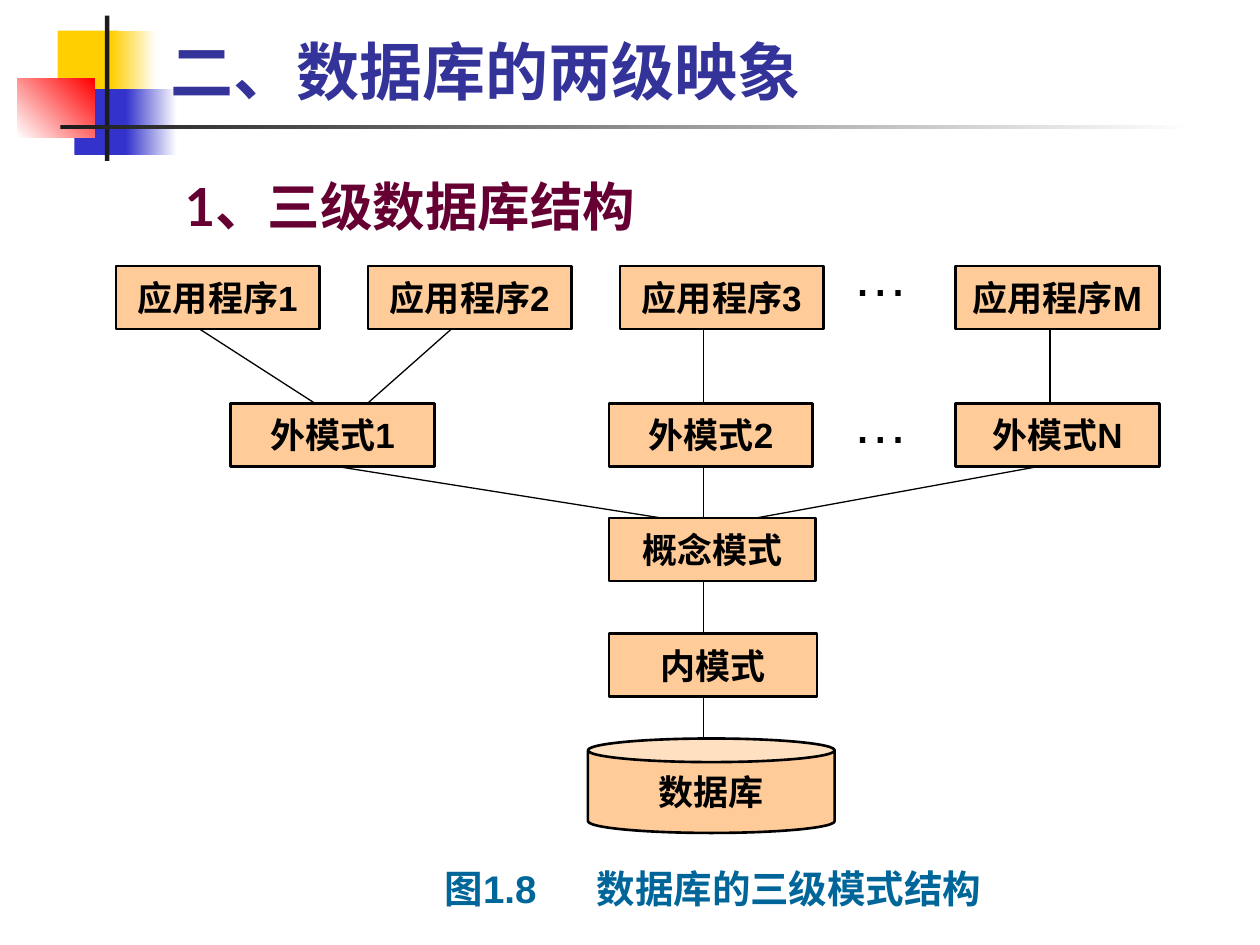
"""Build the slide on the three-level database structure."""
from lxml import etree
from pptx import Presentation
from pptx import util as u
from pptx.dml.color import RGBColor
from pptx.enum import shapes as kinds, text
from pptx.oxml.ns import qn

THEME = {
    "heading_font": "Lato", "diagram_font": "Arial",
    "title": ("333399", 36), "subtitle": ("660033", 30),
    "label": ("000000", 20), "dots": ("000000", 32), "caption": ("006699", 22),
    "box": "FFCC99", "line": "000000", "white": "FFFFFF",
    "yellow": "FFCF01", "blue": "3333CC", "red": "FF0000", "dark": "1C1C1C",
}
TITLE = "二、数据库的两级映象"
SUBTITLE = "1、三级数据库结构"
CAPTION = "图1.8\t数据库的三级模式结构"

ORNAMENTS = [
    ((33, 17.5, 34.5, 37.5), ("yellow",), 0),
    ((63.5, 17.5, 26, 37.5), ("yellow", "white"), 0),
    ((42.5, 51, 33, 37.5), ("blue",), 0),
    ((72, 51, 29, 37.5), ("blue", "white"), 0),
    ((10, 45, 44, 33.5), ("white", "red"), 45),
    ((60, 9, 2.5, 83), ("dark",), 0),
    ((34.5, 71.5, 648, 2.2), ("dark", "white"), 0),
]
LEVELS = [
    (152, 36, 116.5, [("应用程序1", 66.25), ("应用程序2", 210.25),
                      ("应用程序3", 354.25), ("应用程序M", 546)]),
    (230.5, 36, 116.5, [("外模式1", 131.75), ("外模式2", 348), ("外模式N", 546)]),
    (296, 36, 118, [("概念模式", 348)]),
    (362, 36, 119, [("内模式", 348)]),
    (422, 54, 141, [("数据库", 336)]),
]
LINKS = [
    [(114, 180), (258, 210), (402, 402), (600, 600)],
    [(192, 378), (402, 402), (594, 432)],
    [(402, 402)],
    [(402, 402)],
]
ELLIPSES = [(480, 134, 48, 46), (480, 218, 60, 46)]


def points(*values):
    return [u.Pt(value) for value in values]


def color(name):
    return RGBColor.from_string(THEME.get(name, name))


def write(shape, content, style, font, bold=True):
    shape.text_frame.text = content
    paragraph = shape.text_frame.paragraphs[0]
    for run in paragraph.runs:
        run.font.name, run.font.bold = THEME[font], bold
        run.font.color.rgb = color(THEME[style][0])
        run.font.size = u.Pt(THEME[style][1])
    return paragraph


def place(shape, left, top, width, height):
    shape.left, shape.top, shape.width, shape.height = points(left, top, width, height)
    shape.text_frame.auto_size = text.MSO_AUTO_SIZE.NONE


def add_ornament(slide, bounds, names, angle):
    shape = slide.shapes.add_shape(kinds.MSO_SHAPE.RECTANGLE, *points(*bounds))
    shape.shadow.inherit = False
    shape.line.fill.background()
    if len(names) == 1:
        shape.fill.solid()
        shape.fill.fore_color.rgb = color(names[0])
    else:
        shape.fill.gradient()
        shape.fill.gradient_angle = angle
        for stop, name in zip(shape.fill.gradient_stops, names):
            stop.color.rgb = color(name)


def add_headings(slide):
    title, body = slide.shapes.title, slide.placeholders[1]
    place(title, 90.5, 16.5, 613.5, 49)
    title.text_frame.vertical_anchor = text.MSO_ANCHOR.BOTTOM
    write(title, TITLE, "title", "heading_font").alignment = text.PP_ALIGN.LEFT
    place(body, 36.5, 88.5, 629.5, 51)
    paragraph = write(body, SUBTITLE, "subtitle", "heading_font")
    paragraph.line_spacing, paragraph.space_before = 1.2, u.Pt(0)
    properties = paragraph._p.get_or_add_pPr()
    properties.set("marL", str(u.Pt(62)))
    properties.set("indent", "0")
    etree.SubElement(properties, qn("a:buNone"))
    for shape in (title, body):
        slide.shapes.element.append(shape.element)


def add_node(slide, label, bounds, kind):
    shape = slide.shapes.add_shape(kind, *points(*bounds))
    shape.shadow.inherit = False
    shape.fill.solid()
    shape.fill.fore_color.rgb = color("box")
    shape.line.color.rgb, shape.line.width = color("line"), u.Pt(1.5)
    shape.text_frame.word_wrap = False
    shape.text_frame.vertical_anchor = text.MSO_ANCHOR.MIDDLE
    write(shape, label, "label", "diagram_font").alignment = text.PP_ALIGN.CENTER


def add_link(slide, *ends):
    link = slide.shapes.add_connector(kinds.MSO_CONNECTOR.STRAIGHT, *points(*ends))
    link.line.color.rgb, link.line.width = color("line"), u.Pt(0.75)
    etree.SubElement(link.element.spPr, qn("a:effectLst"))


def add_text(slide, content, bounds, style, bold=True):
    box = slide.shapes.add_textbox(*points(*bounds))
    box.text_frame.word_wrap = True
    return write(box, content, style, "diagram_font", bold)


def add_diagram(slide):
    for index, (top, height, width, nodes) in enumerate(LEVELS):
        last = index == len(LEVELS) - 1
        kind = kinds.MSO_SHAPE.CAN if last else kinds.MSO_SHAPE.RECTANGLE
        for label, left in nodes:
            add_node(slide, label, (left, top, width, height), kind)
    for upper, lower, links in zip(LEVELS, LEVELS[1:], LINKS):
        for start, end in links:
            add_link(slide, start, upper[0] + upper[1], end, lower[0])
    for bounds in ELLIPSES:
        add_text(slide, "…", bounds, "dots", bold=False)
    caption = add_text(slide, CAPTION, (247, 491, 402, 34), "caption")
    tabs = etree.SubElement(caption._p.get_or_add_pPr(), qn("a:tabLst"))
    etree.SubElement(tabs, qn("a:tab"), pos=str(u.Pt(87)), algn="l")


def main():
    presentation = Presentation()
    presentation.slide_width, presentation.slide_height = points(720, 540)
    slide = presentation.slides.add_slide(presentation.slide_layouts[1])
    for ornament in ORNAMENTS:
        add_ornament(slide, *ornament)
    add_headings(slide)
    add_diagram(slide)
    presentation.save("out.pptx")


if __name__ == "__main__":
    main()
